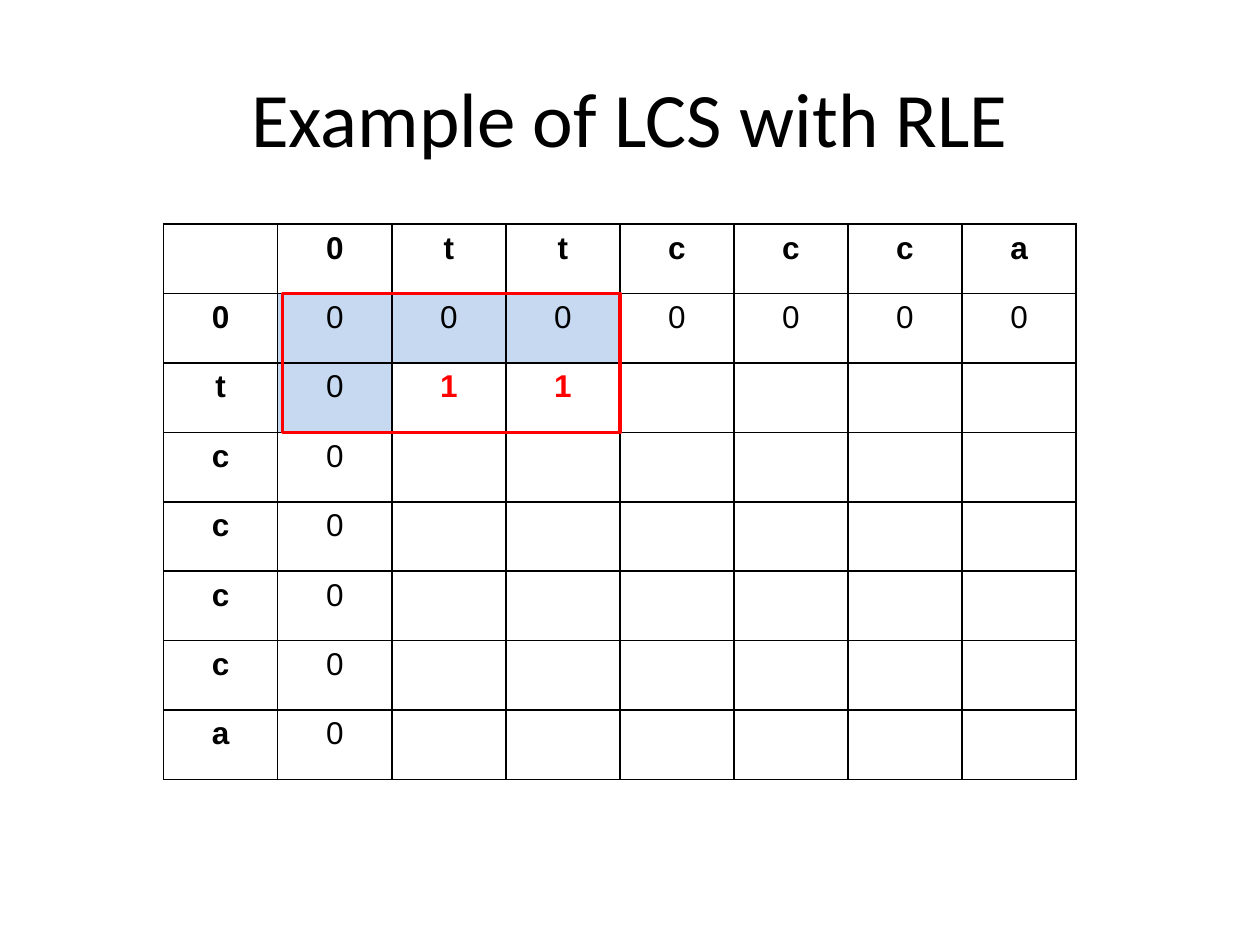
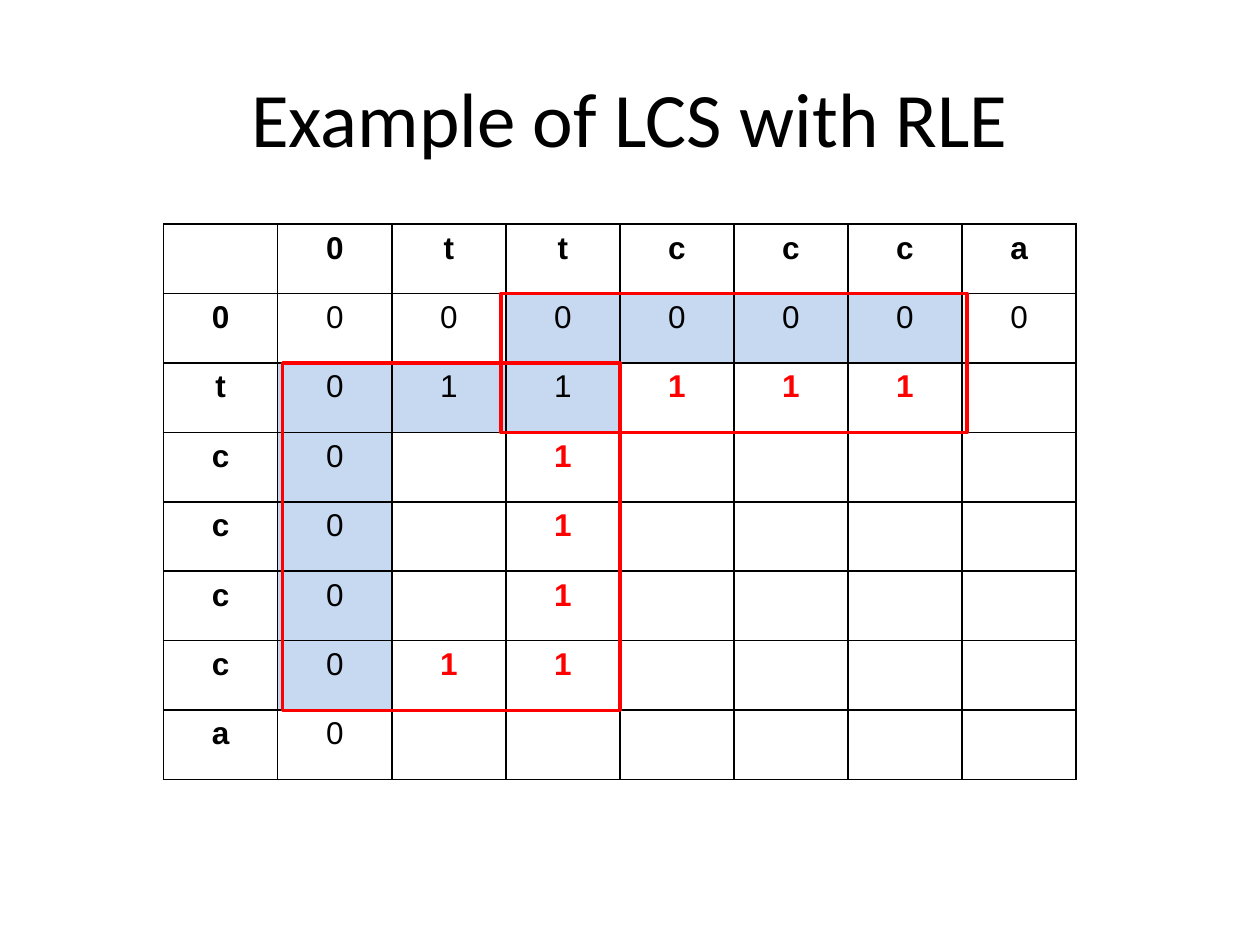
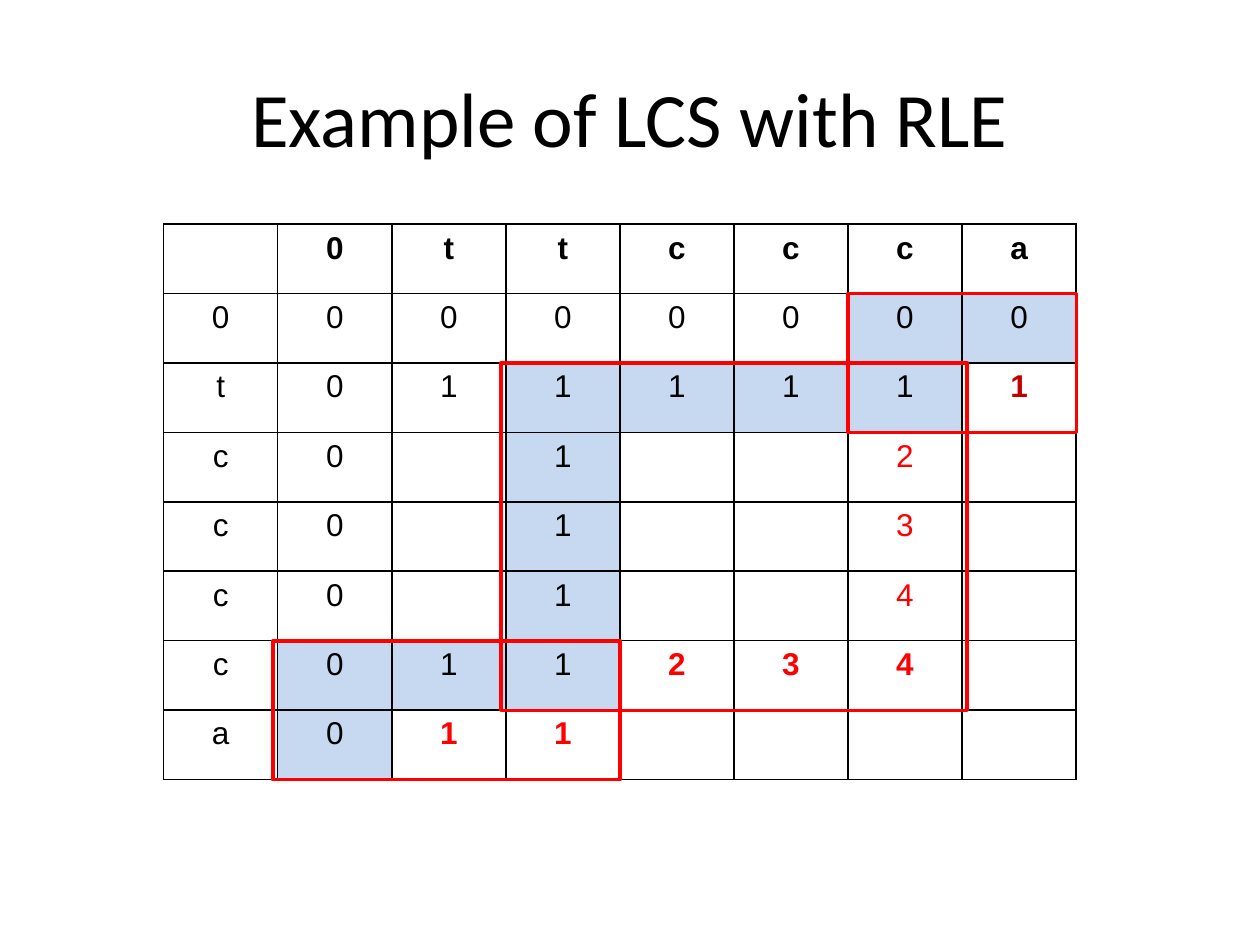
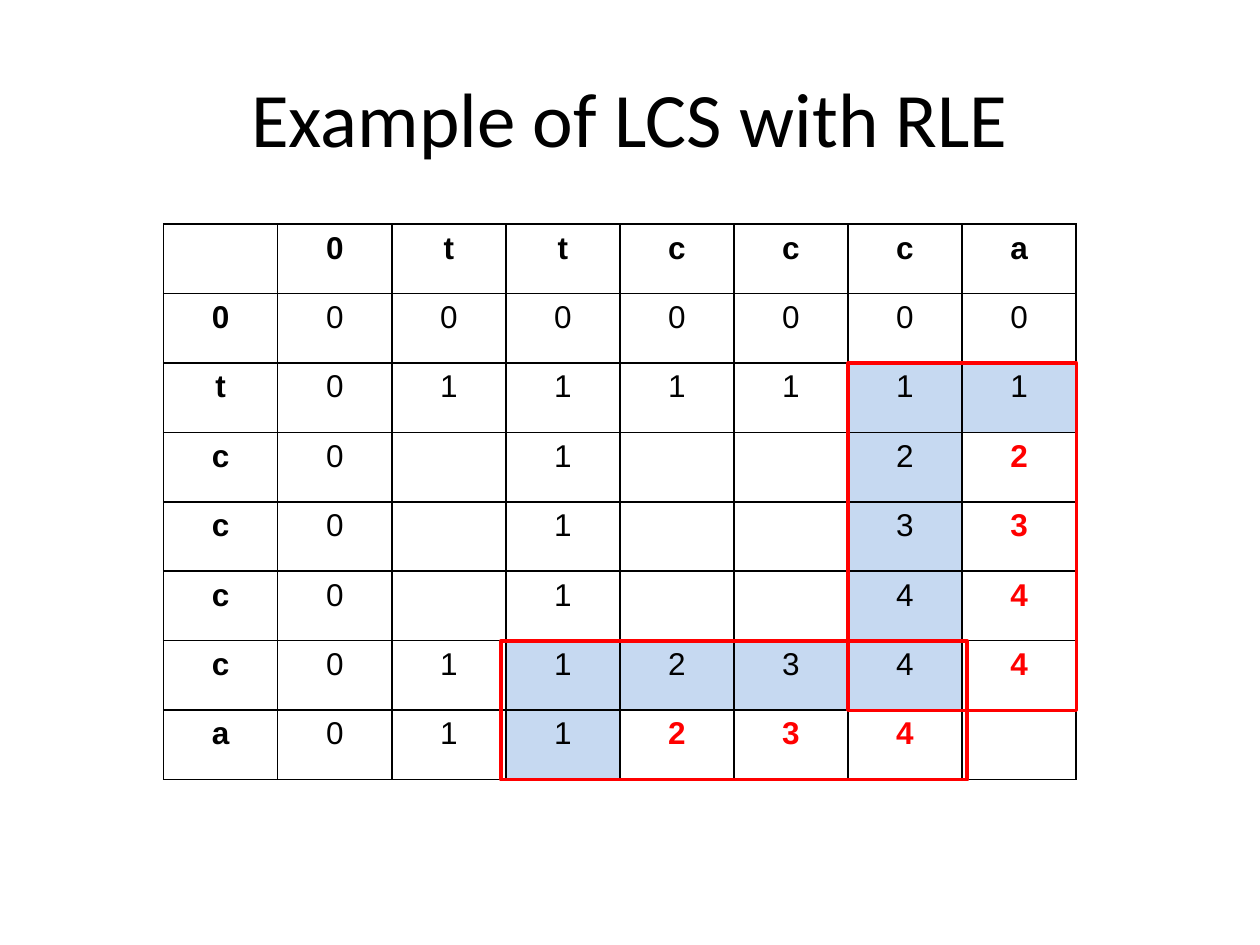
from dataclasses import dataclass

import pptx
import pptx.dml.color
import pptx.enum.shapes
import pptx.enum.text
import pptx.oxml
import pptx.oxml.ns
import pptx.util

Cm = pptx.util.Cm
Pt = pptx.util.Pt


@dataclass(frozen=True)
class Theme:
    ink: str = "000000"
    paper: str = "FFFFFF"
    shade: str = "C6D9F1"
    red: str = "FF0000"
    dark: str = "C00000"
    head: str = "Calibri"
    body: str = "Arial"
    head_size: int = 44
    body_size: int = 18
    rule: float = 1
    frame: float = 2


@dataclass(frozen=True)
class Block:
    """A run of grid cells; grow_left and grow_right shift its frame in cm."""
    top: int
    left: int
    bottom: int
    right: int
    grow_left: float = 0
    grow_right: float = 0

    def holds(self, row, col):
        return self.top <= row <= self.bottom and self.left <= col <= self.right

    def shades(self, row, col):
        """The known values are the first row and first column."""
        return self.holds(row, col) and (row == self.top or col == self.left)


@dataclass(frozen=True)
class Step:
    rows: tuple
    blocks: tuple
    bold_side: bool = True
    plain: tuple = ()
    dark: tuple = ()


THEME = Theme()
TITLE = "Example of LCS with RLE"
ACROSS = " 0ttccca"
DOWN = " 0tcccca"
LEFT, TOP, WIDE, HIGH = 3.3, 4.52, 2.3, 1.4  # grid origin and cell size in cm
NUDGE = 0.1

# One string per row from row 1, one letter per column from column 1
STEPS = (
    Step(("0000000", "011", "0", "0", "0", "0", "0"),
         (Block(1, 1, 2, 3, -NUDGE),)),
    Step(("0000000", "011111", "0 1", "0 1", "0 1", "011", "0"),
         (Block(2, 1, 6, 3, -NUDGE), Block(1, 3, 2, 6, NUDGE, NUDGE))),
    Step(("0000000", "0111111", "0 1  2", "0 1  3", "0 1  4", "011234", "011"),
         (Block(6, 1, 7, 3, NUDGE), Block(2, 3, 6, 6, NUDGE, NUDGE),
          Block(1, 6, 2, 7)),
         bold_side=False, plain=((3, 6), (4, 6), (5, 6)), dark=((2, 7),)),
    Step(("0000000", "0111111", "0 1  22", "0 1  33", "0 1  44", "0112344",
          "011234"),
         (Block(6, 3, 7, 6, NUDGE, NUDGE), Block(2, 6, 6, 7))),
)


def rgb(code):
    return pptx.dml.color.RGBColor.from_string(code)


def write(para, text, face, size, color, bold=False):
    para.alignment = pptx.enum.text.PP_ALIGN.CENTER
    run = para.add_run()
    run.text = text
    run.font.name = face
    run.font.size = Pt(size)
    run.font.bold = bold
    run.font.color.rgb = rgb(color)


def add_title(slide):
    box = slide.shapes.add_textbox(Cm(1.27), Cm(0.76), Cm(22.86), Cm(3.18))
    frame = box.text_frame
    frame.word_wrap = True
    frame.vertical_anchor = pptx.enum.text.MSO_ANCHOR.MIDDLE
    write(frame.paragraphs[0], TITLE, THEME.head, THEME.head_size, THEME.ink)


def paint(cell, fill):
    """Give a cell its fill and a thin rule on all four sides."""
    cell.fill.solid()
    cell.fill.fore_color.rgb = rgb(fill)
    props = cell._tc.get_or_add_tcPr()
    for spot, side in enumerate(("lnL", "lnR", "lnT", "lnB")):
        props.insert(spot, pptx.oxml.parse_xml(
            f'<a:{side} {pptx.oxml.ns.nsdecls("a")} w="{Pt(THEME.rule)}">'
            f'<a:solidFill><a:srgbClr val="{THEME.ink}"/></a:solidFill>'
            f'</a:{side}>'))


def value(step, row, col):
    if row == 0:
        return ACROSS[col].strip()
    if col == 0:
        return DOWN[row]
    return step.rows[row - 1][col - 1:col].strip()


def style(step, row, col, shaded):
    """Return the text colour and weight of a cell."""
    if row == 0:
        return THEME.ink, True
    if col == 0:
        return THEME.ink, step.bold_side
    if shaded or not any(block.holds(row, col) for block in step.blocks):
        return THEME.ink, False
    spot = (row, col)
    return THEME.dark if spot in step.dark else THEME.red, spot not in step.plain


def add_grid(slide, step):
    rows, cols = len(DOWN), len(ACROSS)
    table = slide.shapes.add_table(rows, cols, Cm(LEFT), Cm(TOP),
                                   Cm(WIDE * cols), Cm(HIGH * rows)).table
    table.first_row = table.horz_banding = False
    for column in table.columns:
        column.width = Cm(WIDE)
    for line in table.rows:
        line.height = Cm(HIGH)
    for row in range(rows):
        for col in range(cols):
            cell = table.cell(row, col)
            shaded = any(block.shades(row, col) for block in step.blocks)
            paint(cell, THEME.shade if shaded else THEME.paper)
            text = value(step, row, col)
            if text:
                color, bold = style(step, row, col, shaded)
                write(cell.text_frame.paragraphs[0], text, THEME.body,
                      THEME.body_size, color, bold)


def add_frame(slide, block):
    left = LEFT + WIDE * block.left - block.grow_left
    right = LEFT + WIDE * (block.right + 1) + block.grow_right
    high = HIGH * (block.bottom - block.top + 1)
    shape = slide.shapes.add_shape(
        pptx.enum.shapes.MSO_SHAPE.RECTANGLE, Cm(left),
        Cm(TOP + HIGH * block.top), Cm(right - left), Cm(high))
    shape.shadow.inherit = False
    shape.fill.background()
    shape.line.color.rgb = rgb(THEME.red)
    shape.line.width = Pt(THEME.frame)


def main():
    deck = pptx.Presentation()
    deck.slide_width, deck.slide_height = Cm(25.4), Cm(19.05)
    for step in STEPS:
        slide = deck.slides.add_slide(deck.slide_layouts[6])
        add_title(slide)
        add_grid(slide, step)
        for block in step.blocks:
            add_frame(slide, block)
    deck.save("out.pptx")


if __name__ == "__main__":
    main()
